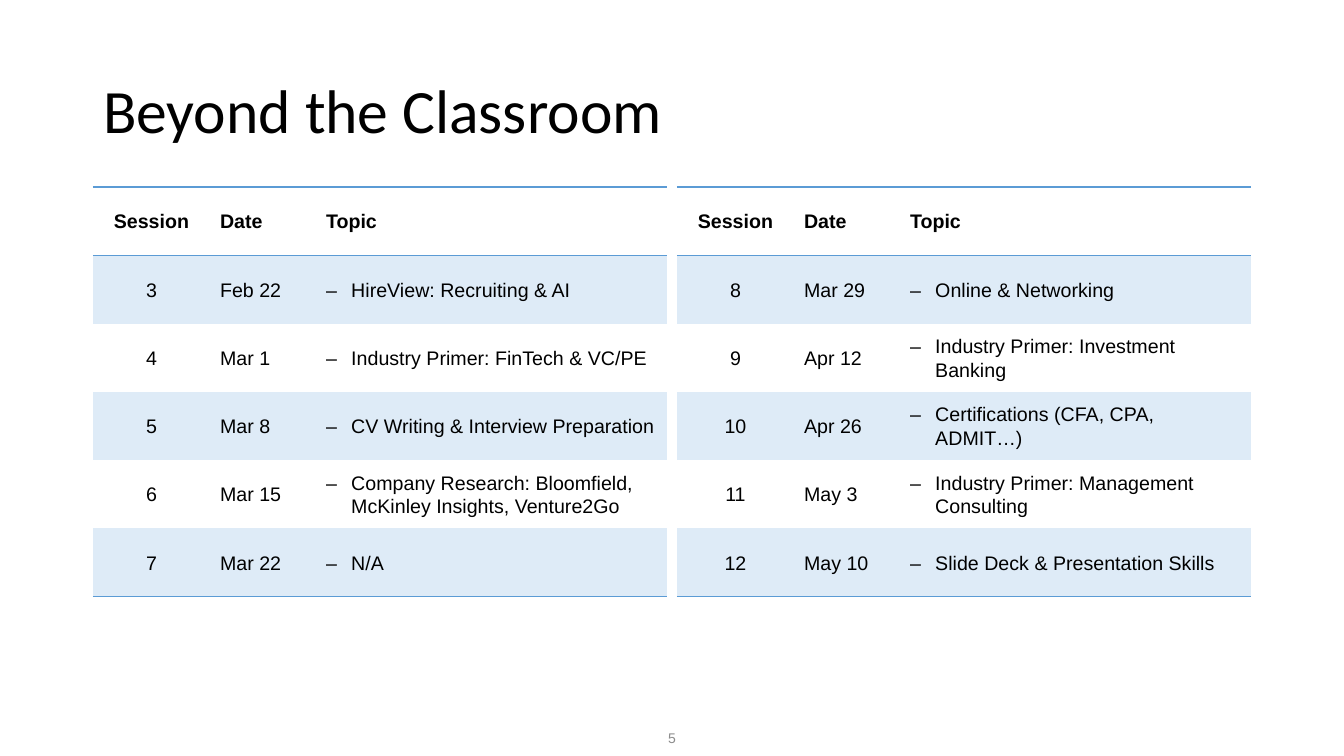
from lxml import etree
from pptx import Presentation
from pptx import util as u
from pptx.dml.color import RGBColor
from pptx.enum import text
from pptx.oxml import ns

SCALE = 914400 / 100.8  # EMU per px
BLACK = RGBColor(0x00, 0x00, 0x00)
GRAY = RGBColor(0x8C, 0x8C, 0x8C)
BLUE = RGBColor(0x5B, 0x9B, 0xD5)
PALE_BLUE = RGBColor(0xDE, 0xEB, 0xF7)
NO_STYLE = "{2D5ABB26-0587-4C30-8999-92F81FD0307C}"

COLUMNS = [117, 106, 351]
HEADER = ("Session", "Date", "Topic")
FIRST_HALF = [
    ("3", "Feb 22", "HireView: Recruiting & AI"),
    ("4", "Mar 1", "Industry Primer: FinTech & VC/PE"),
    ("5", "Mar 8", "CV Writing & Interview Preparation"),
    ("6", "Mar 15", "Company Research: Bloomfield, McKinley Insights, Venture2Go"),
    ("7", "Mar 22", "N/A"),
]
SECOND_HALF = [
    ("8", "Mar 29", "Online & Networking"),
    ("9", "Apr 12", "Industry Primer: Investment Banking"),
    ("10", "Apr 26", "Certifications (CFA, CPA, ADMIT…)"),
    ("11", "May 3", "Industry Primer: Management Consulting"),
    ("12", "May 10", "Slide Deck & Presentation Skills"),
]


def px(length):
    return u.Emu(round(length * SCALE))


def add_run(paragraph, words, size, color, font="Arial", bold=False):
    run = paragraph.add_run()
    run.text = words
    run.font.name = font
    run.font.size = u.Pt(size)
    run.font.bold = bold
    run.font.color.rgb = color


def add_dash(paragraph):
    properties = paragraph._p.get_or_add_pPr()
    indent = u.Inches(0.25)
    properties.set("marL", str(indent))
    properties.set("indent", str(-indent))
    etree.SubElement(properties, ns.qn("a:buFont")).set("typeface", "Arial")
    etree.SubElement(properties, ns.qn("a:buChar")).set("char", "–")


def add_border(cell, side):
    line = etree.SubElement(cell._tc.get_or_add_tcPr(), ns.qn(f"a:ln{side}"))
    line.set("w", str(u.Pt(1)))
    fill = etree.SubElement(line, ns.qn("a:solidFill"))
    etree.SubElement(fill, ns.qn("a:srgbClr")).set("val", str(BLUE))


def add_title(slide, left, top, width, height):
    title = slide.shapes.title
    title.left, title.top, title.width, title.height = map(px, (left, top, width, height))
    frame = title.text_frame
    frame.auto_size = text.MSO_AUTO_SIZE.NONE
    frame.vertical_anchor = text.MSO_ANCHOR.MIDDLE
    paragraph = frame.paragraphs[0]
    paragraph.alignment = text.PP_ALIGN.LEFT
    paragraph.line_spacing = 0.9
    add_run(paragraph, "Beyond the Classroom", 44, BLACK, "Calibri")


def add_schedule(slide, sessions, left, top, width, height):
    rows = [HEADER, *sessions]
    last = len(rows) - 1
    frame = slide.shapes.add_table(len(rows), len(COLUMNS),
                                   *map(px, (left, top, width, height)))
    table = frame.table
    table.first_row = table.horz_banding = False
    table._tbl.tblPr.find(ns.qn("a:tableStyleId")).text = NO_STYLE
    for column, share in zip(table.columns, COLUMNS):
        column.width = px(width * share / sum(COLUMNS))
    for row_index, row in enumerate(rows):
        table.rows[row_index].height = px(height / len(rows))
        for column_index, words in enumerate(row):
            cell = table.cell(row_index, column_index)
            cell.vertical_anchor = text.MSO_ANCHOR.MIDDLE
            # Rules around the header and below the last row
            if row_index == 0:
                add_border(cell, "T")
            if row_index in (0, last):
                add_border(cell, "B")
            # Shading on every other row
            if row_index % 2:
                cell.fill.solid()
                cell.fill.fore_color.rgb = PALE_BLUE
            else:
                cell.fill.background()
            # Cell text
            paragraph = cell.text_frame.paragraphs[0]
            paragraph.line_spacing = 1.07
            paragraph.alignment = (text.PP_ALIGN.LEFT if column_index
                                   else text.PP_ALIGN.CENTER)
            if row_index and column_index == 2:
                add_dash(paragraph)
            add_run(paragraph, words, 14, BLACK, bold=row_index == 0)


def add_page_number(slide, left, top, width, height):
    box = slide.shapes.add_textbox(*map(px, (left, top, width, height)))
    frame = box.text_frame
    frame.word_wrap = True
    frame.margin_bottom = 0
    frame.vertical_anchor = text.MSO_ANCHOR.MIDDLE
    paragraph = frame.paragraphs[0]
    paragraph.alignment = text.PP_ALIGN.CENTER
    add_run(paragraph, "5", 10, GRAY)


def main():
    presentation = Presentation()
    presentation.slide_width, presentation.slide_height = px(1344), px(756)
    slide = presentation.slides.add_slide(presentation.slide_layouts[5])
    add_page_number(slide, 521, 715, 302, 40)
    for sessions, left in ((FIRST_HALF, 93), (SECOND_HALF, 677)):
        add_schedule(slide, sessions, left, 187, 574, 410)
    add_title(slide, 93, 41, 1159, 146)
    presentation.save("out.pptx")


if __name__ == "__main__":
    main()
